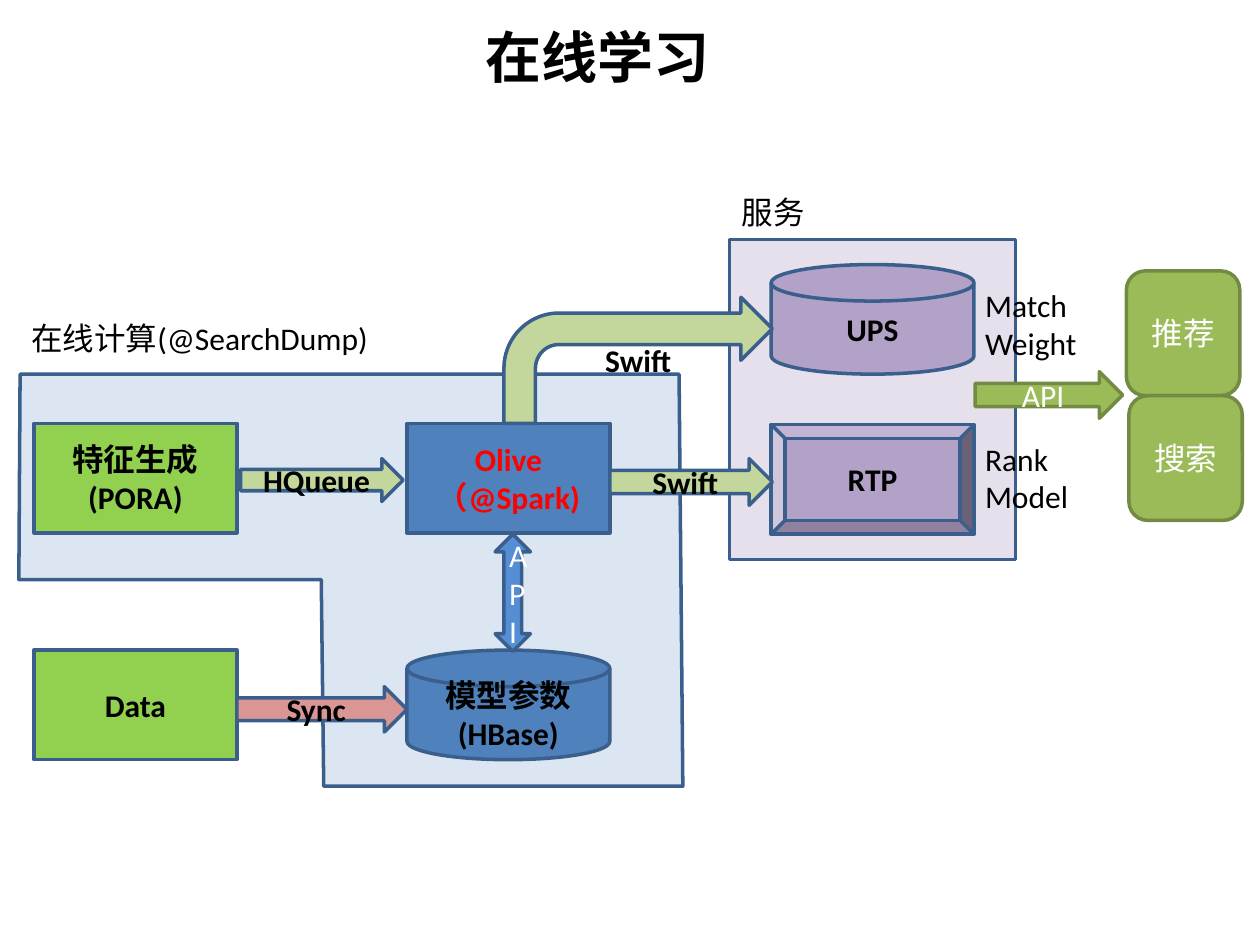
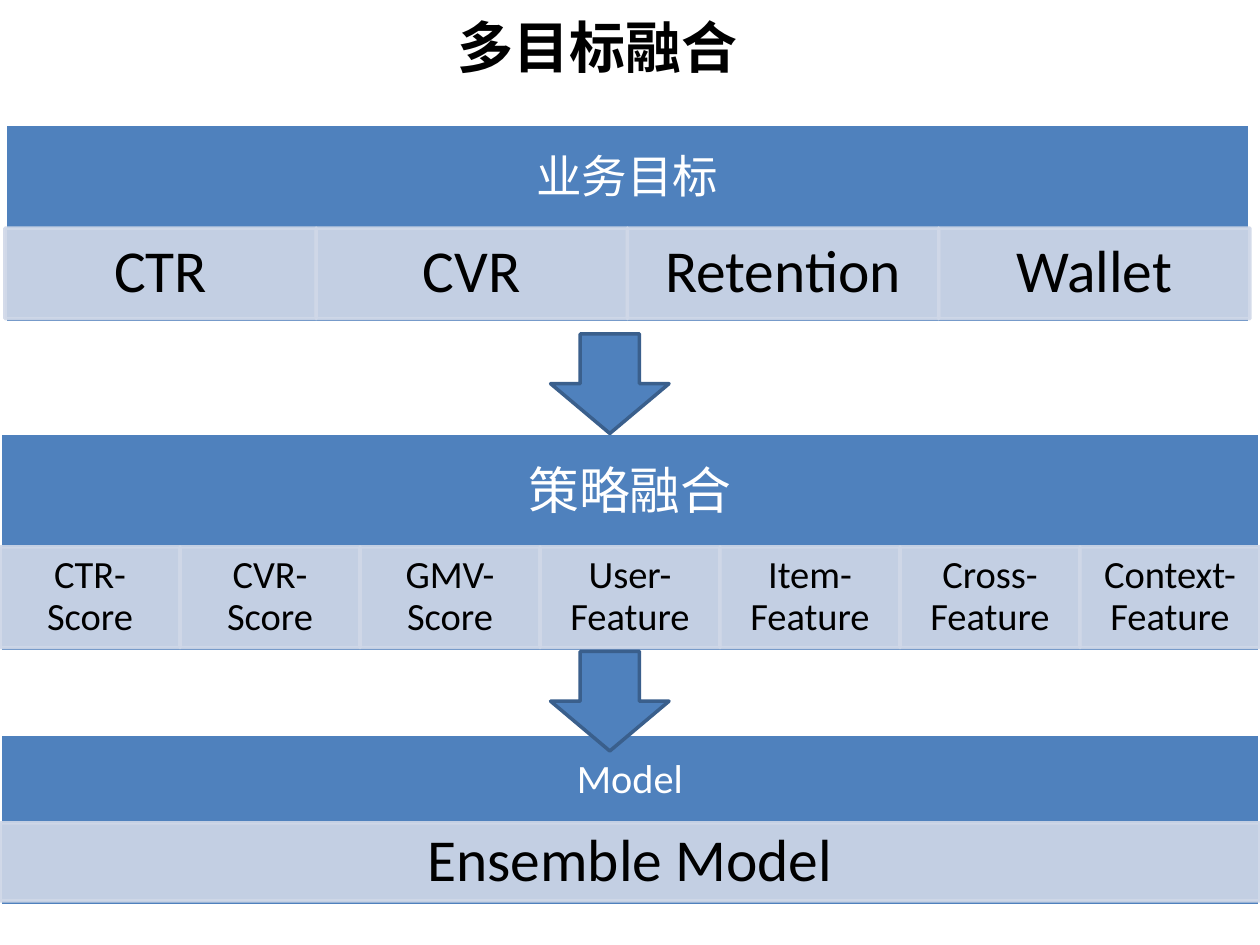
"""Builds two slides: an online learning architecture and multi-objective fusion."""
from lxml import etree
from pptx import Presentation
from pptx.dml.color import RGBColor
from pptx.enum.shapes import MSO_SHAPE
from pptx.enum.text import MSO_ANCHOR, PP_ALIGN
from pptx.oxml.ns import qn
from pptx.util import Pt

PX = 9144
SLIDE_SIZE = (1000, 750)
LATIN, CJK = "Calibri", "Noto Sans CJK SC"

BLACK = RGBColor(0x00, 0x00, 0x00)
WHITE = RGBColor(0xFF, 0xFF, 0xFF)
RED = RGBColor(0xFF, 0x00, 0x00)
BLUE = RGBColor(0x4F, 0x81, 0xBD)
NAVY = RGBColor(0x3A, 0x5F, 0x8C)
SKY = RGBColor(0x55, 0x8E, 0xD5)
PALE_BLUE = RGBColor(0xDC, 0xE6, 0xF2)
CELL_BLUE = RGBColor(0xD0, 0xD8, 0xE8)
PALE_PURPLE = RGBColor(0xE6, 0xE0, 0xEC)
PURPLE = RGBColor(0xB3, 0xA2, 0xC7)
LIME = RGBColor(0x92, 0xD0, 0x50)
GREEN = RGBColor(0x9B, 0xBB, 0x59)
OLIVE_LINE = RGBColor(0x73, 0x8A, 0x42)
PALE_GREEN = RGBColor(0xC3, 0xD6, 0x9B)
PINK = RGBColor(0xD9, 0x96, 0x94)

RECT, DISK = MSO_SHAPE.RECTANGLE, MSO_SHAPE.FLOWCHART_MAGNETIC_DISK
RIGHT = MSO_SHAPE.RIGHT_ARROW

COMPUTE_ZONE = [(16, 297), (539, 297), (542, 624), (257, 624), (255, 460), (15, 460)]
SERVICE_ZONE = (579, 190, 227, 254)
NODE_SIZE = (161, 87)
NODES = [
    (RECT, (27, 516), LIME, ["Data"], BLACK),
    (RECT, (323, 336), BLUE, ["Olive", "（@Spark)"], RED),
    (RECT, (27, 336), LIME, ["特征生成", "(PORA)"], BLACK),
    (DISK, (323, 516), BLUE, ["模型参数", "(HBase)"], BLACK),
    (DISK, (612, 210), PURPLE, ["UPS"], BLACK),
    (MSO_SHAPE.BEVEL, (612, 337), PURPLE, ["RTP"], BLACK),
]
FLOWS = [
    (RIGHT, (484, 364, 129, 37), PALE_GREEN, "Swift"),
    (MSO_SHAPE.BENT_ARROW, (400, 236, 213, 100), PALE_GREEN, "Swift"),
    (RIGHT, (188, 545, 135, 36), PINK, "Sync"),
    (RIGHT, (191, 364, 129, 34), PALE_GREEN, "HQueue"),
]
API_CALLS = [
    (RIGHT, (774, 295, 117, 37), GREEN, OLIVE_LINE),
    (MSO_SHAPE.UP_DOWN_ARROW, (393, 424, 28, 93), SKY, NAVY),
]
CLIENT_SIZE = (90, 99)
CLIENTS = [("推荐", (894, 215)), ("搜索", (896, 314))]
CAPTIONS = [
    (["Match", "Weight"], (772, 222, 101, 71)),
    (["Rank", "Model"], (772, 344, 87, 71)),
    (["服务"], (579, 148, 101, 40)),
    (["在线计算(@SearchDump)"], (15, 248, 295, 40)),
]

LAYERS = [
    dict(title="业务目标", size=26, panel=(4, 99, 988, 157), head=85, inset=20,
         items=["CTR", "CVR", "Retention", "Wallet"],
         item_size=34, item_top=181, item_height=72, item_inset=(26, 5)),
    dict(title="策略融合", size=29, panel=(0, 344, 1000, 173), head=94, inset=23,
         items=["CTR-Score", "CVR-Score", "GMV-Score", "User-Feature",
                "Item-Feature", "Cross-Feature", "Context-Feature"],
         item_size=22, item_top=434, item_height=80, item_inset=(17, 3)),
    dict(title="Model", size=23, panel=(0, 583, 1000, 136), head=73, inset=18,
         items=["Ensemble Model"],
         item_size=34, item_top=653, item_height=62, item_inset=(26, 5)),
]
STEP_TOPS = [265, 517]


def emu(lengths):
    return [round(length * PX) for length in lengths]


def write(shape, lines, size=18, color=BLACK, bold=False, latin=LATIN,
          align=PP_ALIGN.CENTER, anchor=MSO_ANCHOR.MIDDLE, inset=None, spacing=None):
    frame = shape.text_frame
    frame.word_wrap = True
    frame.vertical_anchor = anchor
    if inset:
        across, down = emu(inset)
        frame.margin_left = frame.margin_right = across
        frame.margin_top = frame.margin_bottom = down
    for index, line in enumerate(lines):
        paragraph = frame.add_paragraph() if index else frame.paragraphs[0]
        paragraph.alignment = align
        if spacing:
            paragraph.line_spacing = spacing
        run = paragraph.add_run()
        run.text = line
        run.font.size, run.font.bold = Pt(size), bold
        run.font.color.rgb = color
        run.font.name = latin
        etree.SubElement(run.font._element, qn("a:ea")).set("typeface", CJK)


def paint(shape, fill, line, opacity=None):
    shape.shadow.inherit = False
    shape.fill.solid()
    shape.fill.fore_color.rgb = fill
    shape.line.color.rgb = line
    shape.line.width = Pt(2)
    if opacity:
        for color in shape._element.spPr.iter(qn("a:srgbClr")):
            etree.SubElement(color, qn("a:alpha")).set("val", str(opacity * 1000))


def add_figure(slide, kind, box, fill, line=NAVY, opacity=None):
    figure = slide.shapes.add_shape(kind, *emu(box))
    paint(figure, fill, line, opacity)
    return figure


def add_label(slide, box, lines, **style):
    write(slide.shapes.add_textbox(*emu(box)), lines, **style)


def add_title(slide, title, top):
    add_label(slide, (67, top, 815, 63), [title], size=32, bold=True,
              latin=CJK, anchor=MSO_ANCHOR.TOP)


def build_online_learning(slide):
    add_title(slide, "在线学习", 13)
    outline = slide.shapes.build_freeform(*COMPUTE_ZONE[0], scale=PX)
    outline.add_line_segments(COMPUTE_ZONE[1:], close=True)
    paint(outline.convert_to_shape(), PALE_BLUE, NAVY)
    add_figure(slide, RECT, SERVICE_ZONE, PALE_PURPLE)
    for kind, corner, fill, lines, color in NODES:
        node = add_figure(slide, kind, corner + NODE_SIZE, fill)
        write(node, lines, color=color, bold=True)
    for kind, box, fill, label in FLOWS:
        write(add_figure(slide, kind, box, fill), [label], bold=True)
    for name, corner in CLIENTS:
        client = add_figure(slide, MSO_SHAPE.ROUNDED_RECTANGLE,
                            corner + CLIENT_SIZE, GREEN, OLIVE_LINE)
        write(client, [name], color=WHITE)
    for kind, box, fill, line in API_CALLS:
        write(add_figure(slide, kind, box, fill, line), ["API"], color=WHITE)
    for lines, box in CAPTIONS:
        add_label(slide, box, lines, align=PP_ALIGN.LEFT, anchor=MSO_ANCHOR.TOP)


def add_layer(slide, layer):
    left, top, width, _ = layer["panel"]
    add_figure(slide, RECT, layer["panel"], BLUE, WHITE)
    add_label(slide, (left, top, width, layer["head"]), [layer["title"]],
              size=layer["size"], color=WHITE, inset=(layer["inset"],) * 2, spacing=0.9)
    item_width = width / len(layer["items"])
    for column, item in enumerate(layer["items"]):
        box = (left + column * item_width, layer["item_top"],
               item_width, layer["item_height"])
        cell = add_figure(slide, RECT, box, CELL_BLUE, CELL_BLUE, opacity=90)
        write(cell, [item], size=layer["item_size"],
              inset=layer["item_inset"], spacing=0.9)


def build_fusion(slide):
    for layer in LAYERS:
        add_layer(slide, layer)
    for top in STEP_TOPS:
        add_figure(slide, MSO_SHAPE.DOWN_ARROW, (437, top, 94, 79), BLUE)
    add_title(slide, "多目标融合", 5)


def main():
    deck = Presentation()
    deck.slide_width, deck.slide_height = emu(SLIDE_SIZE)
    for build in (build_online_learning, build_fusion):
        build(deck.slides.add_slide(deck.slide_layouts[6]))
    deck.save("out.pptx")


if __name__ == "__main__":
    main()
